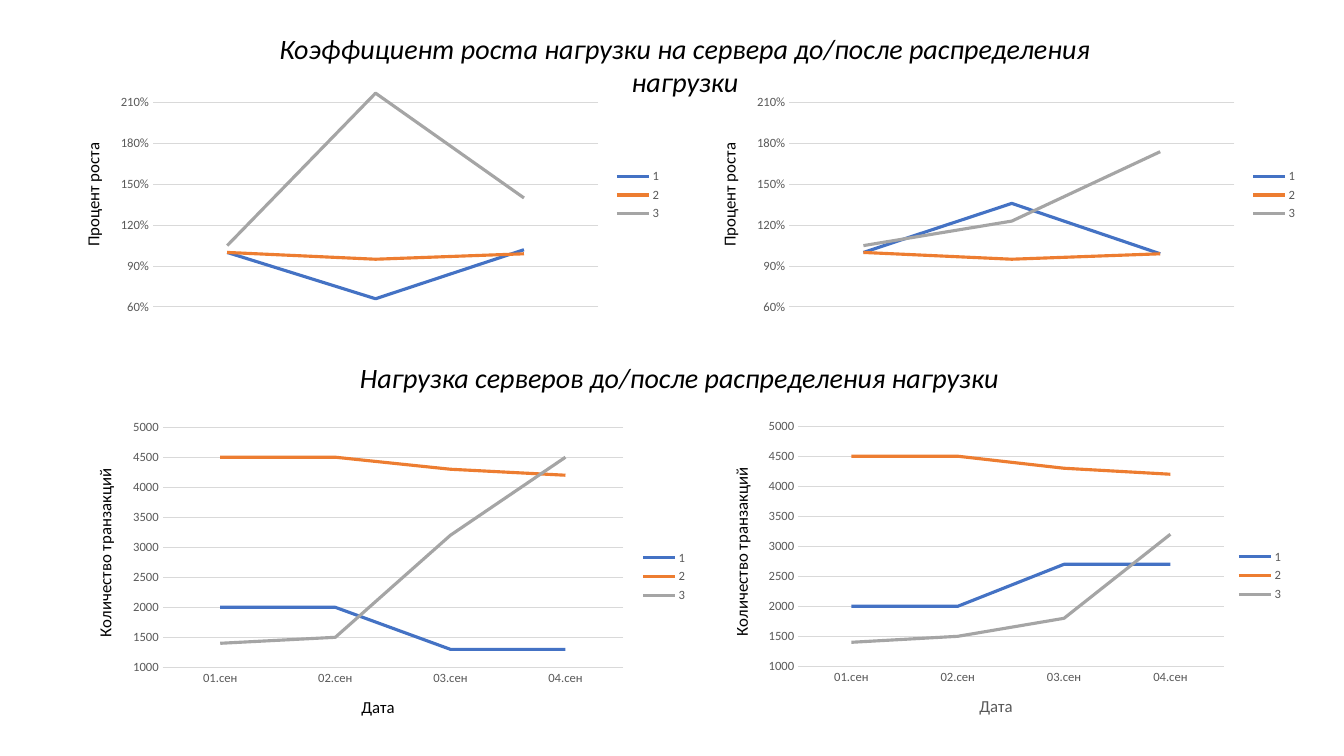
"""Build a slide with four line charts of server load before and after balancing."""
from lxml import etree
from pptx import Presentation
from pptx.chart.data import CategoryChartData
from pptx.dml.color import RGBColor
from pptx.enum import chart as ce, text
from pptx.oxml.ns import qn
from pptx.util import Inches, Pt

BLACK = RGBColor(0x00, 0x00, 0x00)
GRAY = RGBColor(0x59, 0x59, 0x59)
GRID = RGBColor(0xD9, 0xD9, 0xD9)
SERVER_COLORS = [RGBColor(0x44, 0x72, 0xC4), RGBColor(0xED, 0x7D, 0x31), RGBColor(0xA5, 0xA5, 0xA5)]


def style_font(font, size, color, italic=False):
    settings = {"name": "Calibri", "size": Pt(size), "bold": False, "italic": italic}
    for name, value in settings.items():
        setattr(font, name, value)
    font.color.rgb = color


def title_axis(axis, caption, color, rotation):
    frame = axis.axis_title.text_frame
    frame.text = caption
    style_font(frame.paragraphs[0].runs[0].font, 12, color)
    body = axis.axis_title._element.find(".//" + qn("a:bodyPr"))
    body.set("rot", str(rotation))
    body.set("vert", "horz")


GROWTH = {
    "title": "Процент роста", "categories": ["1", "2", "3"], "format": "0%",
    "scale": {"minimum_scale": 0.6, "maximum_scale": 2.3, "major_unit": 0.3},
}
LOAD = {
    "title": "Количество транзакций", "format": "General",
    "categories": ["01.сен", "02.сен", "03.сен", "04.сен"],
    "scale": {"minimum_scale": 1000, "maximum_scale": 5000, "major_unit": 500},
}
growth_second = [1, 0.95, 0.99]
load_second = [4500, 4500, 4300, 4200]
charts = [
    (GROWTH, (0.61, 0.7, 6.05, 2.47), (0.15, 0.02, 0.73, 0.93), None,
     [[1, 0.66, 1.02], growth_second, [1.05, 2.17, 1.4]]),
    (LOAD, (0.75, 4.11, 6.17, 3.22), (0.14, 0.04, 0.74, 0.74), BLACK,
     [[2000, 2000, 1300, 1300], load_second, [1400, 1500, 3200, 4500]]),
    (LOAD, (7.05, 4.1, 5.78, 3.22), (0.15, 0.04, 0.73, 0.74), GRAY,
     [[2000, 2000, 2700, 2700], load_second, [1400, 1500, 1800, 3200]]),
    (GROWTH, (6.92, 0.7, 6.05, 2.47), (0.15, 0.02, 0.73, 0.93), None,
     [[1, 1.36, 0.99], growth_second, [1.05, 1.23, 1.74]]),
]
headings = [
    ("Коэффициент роста нагрузки на сервера до/после распределения нагрузки",
     (2.33, 0.26, 8.93, 0.77), True, text.PP_ALIGN.CENTER),
    ("Нагрузка серверов до/после распределения нагрузки",
     (3.47, 3.53, 6.65, 0.44), False, text.PP_ALIGN.LEFT),
]

deck = Presentation()
deck.slide_width, deck.slide_height = Inches(13.33), Inches(7.5)
page = deck.slides.add_slide(deck.slide_layouts[6])

for kind, place, plot_place, date_color, servers in charts:
    data = CategoryChartData(number_format=kind["format"])
    data.categories = kind["categories"]
    for number, values in enumerate(servers, 1):
        data.add_series(str(number), values)
    chart = page.shapes.add_chart(
        ce.XL_CHART_TYPE.LINE, *[Inches(length) for length in place], data).chart
    style_font(chart.font, 10, BLACK)
    chart.has_title = False
    chart.has_legend = True
    chart.legend.position = ce.XL_LEGEND_POSITION.RIGHT
    chart.legend.include_in_layout = False
    style_font(chart.legend.font, 9, GRAY)

    for axis in (chart.category_axis, chart.value_axis):
        axis.major_tick_mark = axis.minor_tick_mark = ce.XL_TICK_MARK.NONE
        style_font(axis.tick_labels.font, 9, GRAY)
    amounts, dates = chart.value_axis, chart.category_axis
    for name, value in kind["scale"].items():
        setattr(amounts, name, value)
    amounts.tick_labels.number_format = kind["format"]
    amounts.tick_labels.number_format_is_linked = False
    amounts.format.line.fill.background()
    title_axis(amounts, kind["title"], BLACK, -5400000)
    lines = [amounts.major_gridlines.format.line]
    if date_color is None:
        dates.visible = False
    else:
        title_axis(dates, "Дата", date_color, 0)
        lines.append(dates.format.line)
    for line in lines:
        line.color.rgb = GRID
        line.width = Pt(0.75)

    chart.plots[0].vary_by_categories = False
    for series, color in zip(chart.plots[0].series, SERVER_COLORS):
        series.smooth = False
        series.marker.style = ce.XL_MARKER_STYLE.NONE
        series.format.line.color.rgb = color
        series.format.line.width = Pt(2.25)

    area = chart._chartSpace.find(".//" + qn("c:plotArea"))
    layout = area.find(qn("c:layout"))
    if layout is None:
        layout = etree.Element(qn("c:layout"))
        area.insert(0, layout)
    manual = etree.SubElement(layout, qn("c:manualLayout"))
    entries = [("layoutTarget", "inner"), ("xMode", "edge"), ("yMode", "edge")]
    for tag, value in entries + list(zip("xywh", plot_place)):
        etree.SubElement(manual, qn("c:" + tag)).set("val", str(value))

for caption, place, wraps, alignment in headings:
    box = page.shapes.add_textbox(*[Inches(length) for length in place])
    box.text_frame.word_wrap = wraps
    box.text_frame.auto_size = text.MSO_AUTO_SIZE.SHAPE_TO_FIT_TEXT
    para = box.text_frame.paragraphs[0]
    para.alignment = alignment
    span = para.add_run()
    span.text = caption
    style_font(span.font, 20, BLACK, italic=True)

deck.save("out.pptx")
